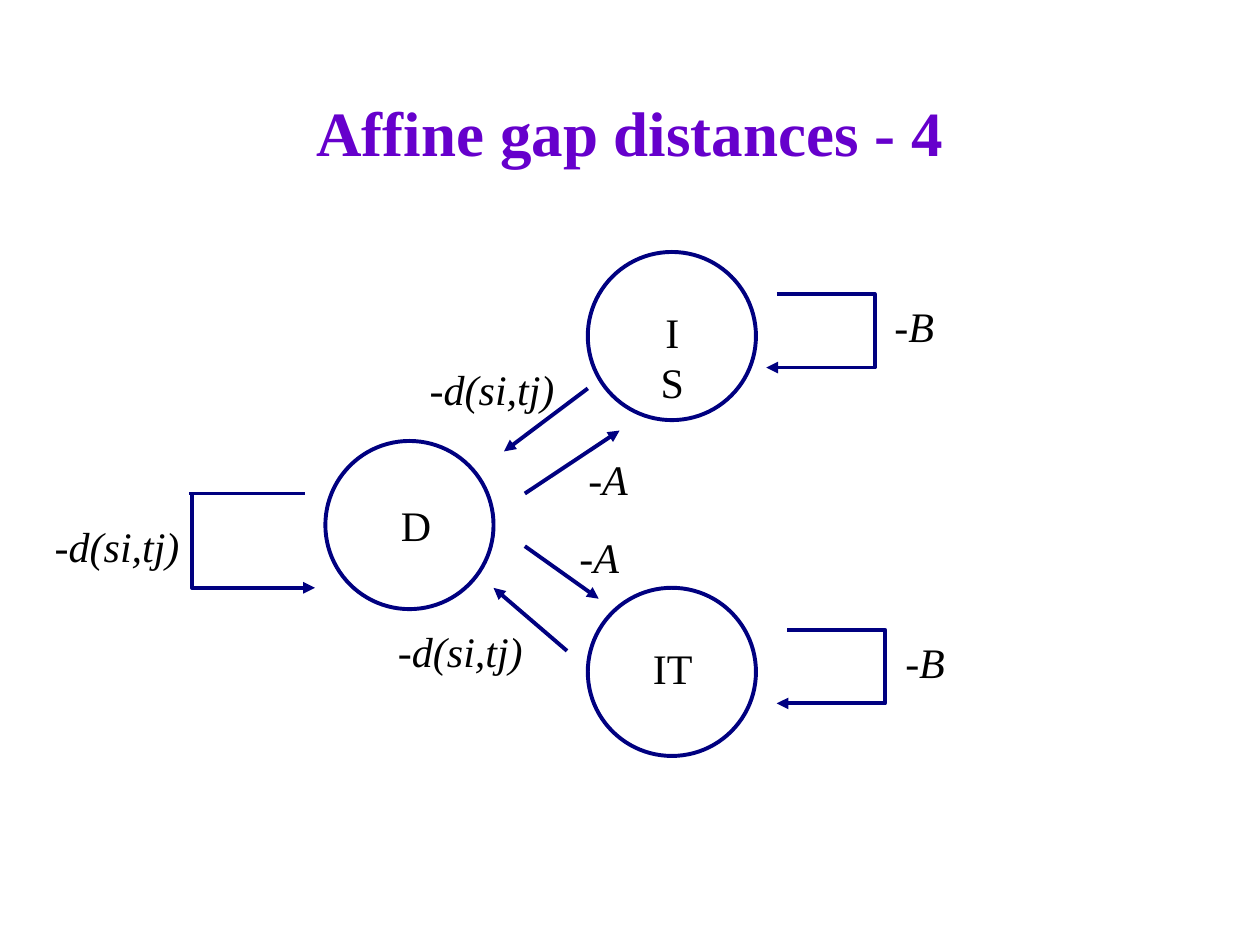
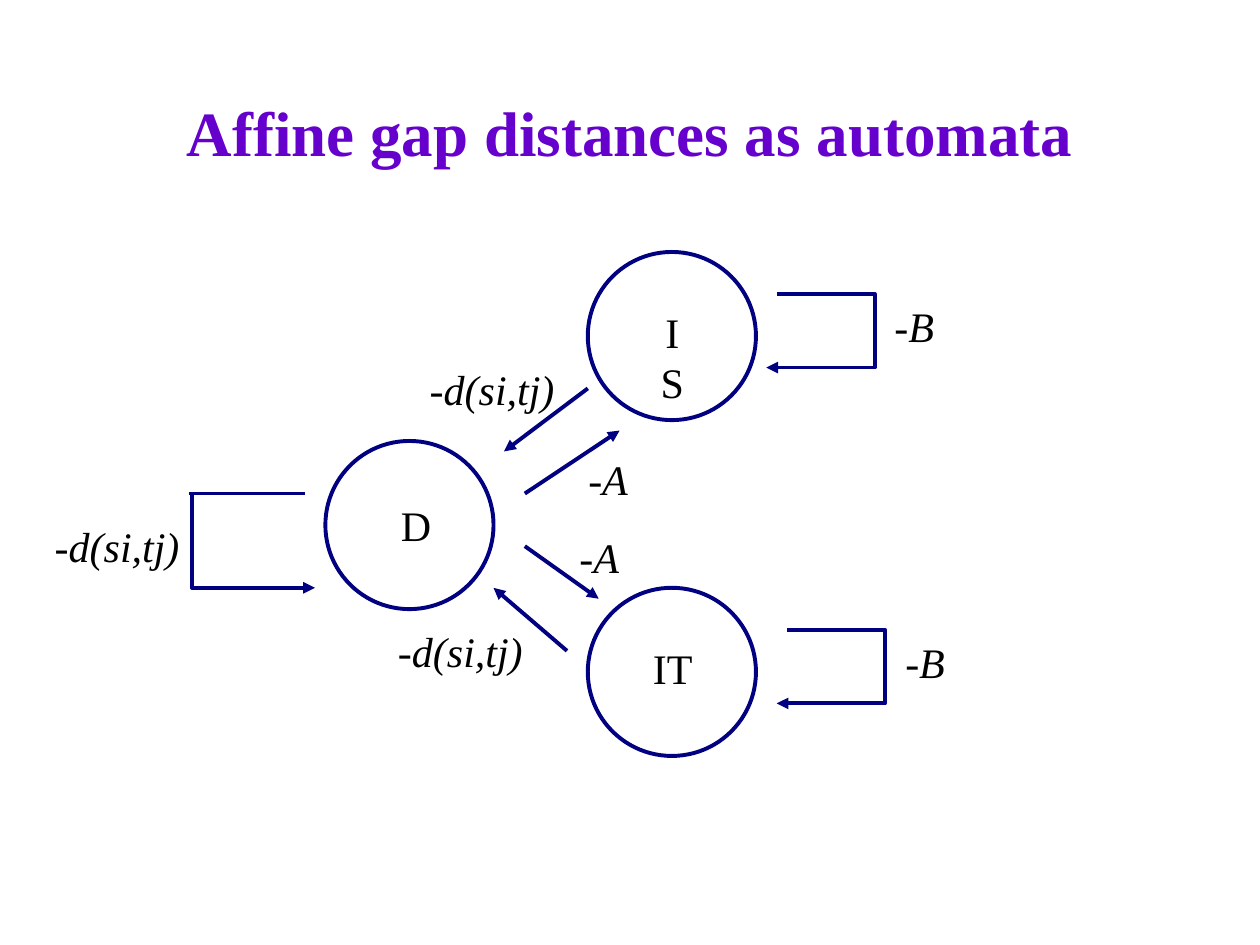
from dataclasses import dataclass

from lxml.etree import SubElement
from pptx import Presentation
from pptx.dml.color import RGBColor
from pptx.enum.shapes import MSO_CONNECTOR, MSO_SHAPE
from pptx.enum.text import MSO_ANCHOR, MSO_AUTO_SIZE, PP_ALIGN
from pptx.oxml.ns import qn
from pptx.util import Cm, Pt


@dataclass(frozen=True)
class Theme:
    font: str = "Times New Roman"
    title_color: RGBColor = RGBColor(0x66, 0x00, 0xCC)
    text_color: RGBColor = RGBColor(0x00, 0x00, 0x00)
    line_color: RGBColor = RGBColor(0x00, 0x00, 0x80)
    title_size: Pt = Pt(36)
    label_size: Pt = Pt(24)
    line_width: Pt = Pt(2.25)


THEME = Theme()
TITLES = ["Affine gap distances - 4", "Affine gap distances as automata"]

# All positions are in centimetres.
STATE_DIAMETER = 3.39
LABEL_HEIGHT = 1.27
LOOP_OPENING = 0.21  # the open end of a loop stops this far before its arrow tip

# name, circle left and top, label left, top and width
STATES = [
    ("IS", (11.85, 5.08), (12.93, 6.05, 1.25)),
    ("IT", (11.85, 11.85), (12.91, 12.82, 1.3)),
    ("D", (6.56, 8.89), (7.83, 9.95, 1.11)),
]

# corner, arrow tip, bend position in thousandths of a percent
LOOPS = [
    ((17.57, 5.93), (15.45, 7.41), -3100),
    ((17.78, 12.7), (15.66, 14.18), -3100),
    ((3.81, 9.95), (6.35, 11.85), 2400),
]

TRANSITIONS = [
    ((11.85, 7.83), (10.16, 9.1)),
    ((10.58, 9.95), (12.49, 8.68)),
    ((10.58, 11.01), (12.07, 12.07)),
    ((11.43, 13.12), (9.95, 11.85)),
]

# text, alignment, width, places of the label's left and top
COSTS = [
    ("-B", PP_ALIGN.LEFT, 1.3, [(17.78, 5.93), (18, 12.7)]),
    ("-A", PP_ALIGN.LEFT, 1.3, [(11.61, 9.02), (11.43, 10.58)]),
    ("-d(si,tj)", PP_ALIGN.RIGHT, 3.02, [(0.85, 10.37), (7.77, 12.49), (8.41, 7.2)]),
]


def format_paragraph(paragraph, alignment, size, color, bold=False, italic=False):
    paragraph.alignment = alignment
    font = paragraph.font
    font.name, font.size, font.bold, font.italic = THEME.font, size, bold, italic
    font.color.rgb = color


def format_line(line):
    line.color.rgb = THEME.line_color
    line.width = THEME.line_width


def add_title(slide, text):
    title = slide.shapes.title
    title.left, title.top, title.width, title.height = Cm(1.9), Cm(1.06), Cm(21.59), Cm(3.18)
    title.text_frame.text = text
    title.text_frame.vertical_anchor = MSO_ANCHOR.MIDDLE
    format_paragraph(title.text_frame.paragraphs[0], PP_ALIGN.CENTER,
                     THEME.title_size, THEME.title_color, bold=True)


def add_label(slide, text, left, top, width, alignment, italic=False):
    label = slide.shapes.add_textbox(Cm(left), Cm(top), Cm(width), Cm(LABEL_HEIGHT))
    frame = label.text_frame
    frame.text = text
    frame.word_wrap = False
    frame.auto_size = MSO_AUTO_SIZE.SHAPE_TO_FIT_TEXT
    format_paragraph(frame.paragraphs[0], alignment,
                     THEME.label_size, THEME.text_color, italic=italic)


def add_state(slide, name, circle_position, label_box):
    left, top = circle_position
    circle = slide.shapes.add_shape(MSO_SHAPE.OVAL, Cm(left), Cm(top),
                                    Cm(STATE_DIAMETER), Cm(STATE_DIAMETER))
    circle.shadow.inherit = False
    circle.fill.background()
    format_line(circle.line)
    add_label(slide, name, *label_box, PP_ALIGN.CENTER)


def add_line(slide, start, end, kind=MSO_CONNECTOR.STRAIGHT, arrow=True):
    connector = slide.shapes.add_connector(kind, *map(Cm, start + end))
    format_line(connector.line)
    if arrow:
        SubElement(connector.get_or_add_ln(), qn("a:tailEnd"), type="triangle")
    SubElement(connector.element.spPr, qn("a:effectLst"))
    return connector


def add_loop(slide, corner, tip, bend):
    """Draw a self-transition: an elbow arrow plus the line that opens it."""
    elbow = add_line(slide, corner, tip, MSO_CONNECTOR.ELBOW)
    adjustments = elbow.element.spPr.find(qn("a:prstGeom")).get_or_add_avLst()
    SubElement(adjustments, qn("a:gd"), name="adj1", fmla=f"val {bend}")
    toward_corner = 1 if corner[0] > tip[0] else -1
    open_end = (tip[0] + toward_corner * LOOP_OPENING, corner[1])
    add_line(slide, open_end, corner, arrow=False)


def add_automaton(slide):
    for state in STATES:
        add_state(slide, *state)
    for loop in LOOPS:
        add_loop(slide, *loop)
    for start, end in TRANSITIONS:
        add_line(slide, start, end)
    for text, alignment, width, places in COSTS:
        for left, top in places:
            add_label(slide, text, left, top, width, alignment, italic=True)


def main():
    presentation = Presentation()
    presentation.slide_width, presentation.slide_height = Cm(25.4), Cm(19.05)
    title_only = presentation.slide_layouts.get_by_name("Title Only")
    for title in TITLES:
        slide = presentation.slides.add_slide(title_only)
        add_title(slide, title)
        add_automaton(slide)
    presentation.save("out.pptx")


if __name__ == "__main__":
    main()
